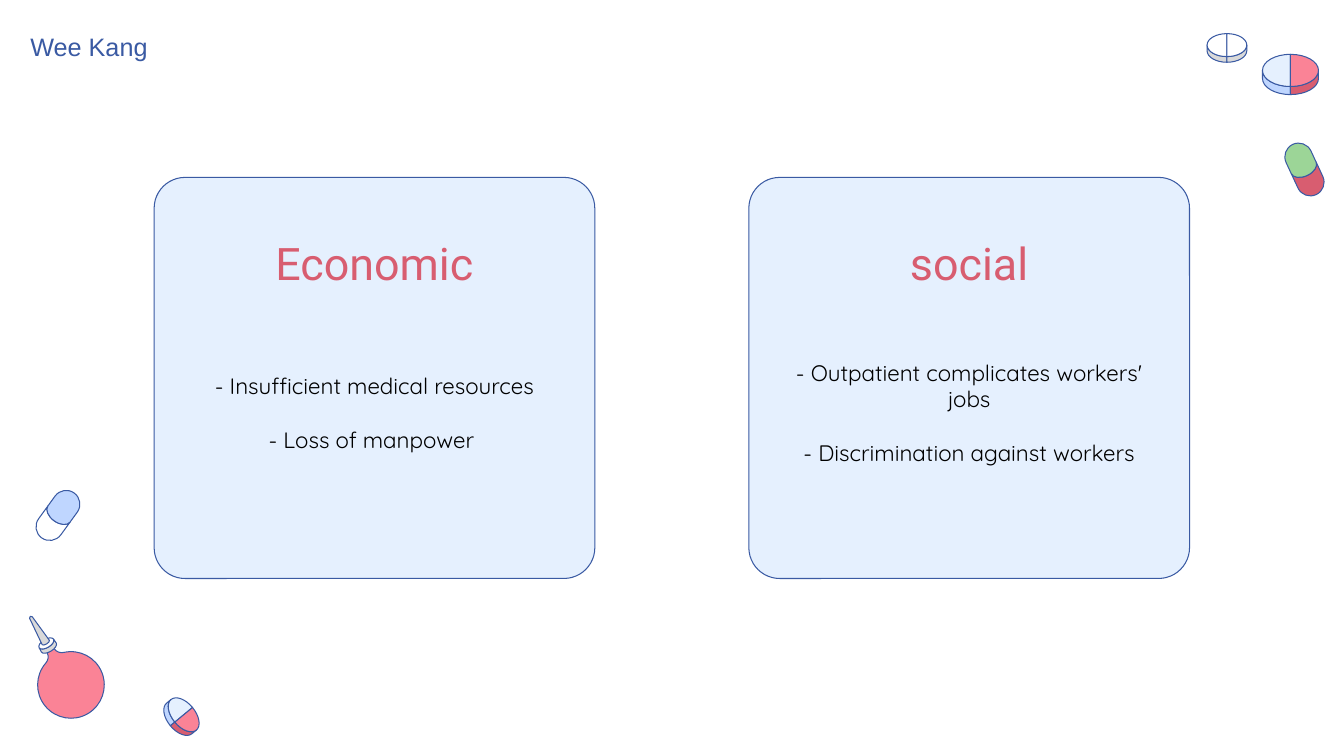
from dataclasses import dataclass
from math import ceil, cos, radians, sin, tan

from lxml.etree import Element, SubElement
from pptx import Presentation
from pptx.dml.color import RGBColor
from pptx.enum.shapes import MSO_SHAPE as SHAPE
from pptx.enum.text import MSO_ANCHOR as ANCHOR, MSO_AUTO_SIZE as AUTO, PP_ALIGN as ALIGN
from pptx.oxml.ns import qn
from pptx.util import Pt


@dataclass(frozen=True)
class Theme:
    """Colours, fonts and type sizes of the slide."""
    navy: str = "3A5AA3"
    pale: str = "E5F0FE"
    sky: str = "BFD6FF"
    pink: str = "FA8396"
    rose: str = "D85D70"
    green: str = "9CD597"
    grey: str = "D9D9D9"
    white: str = "FFFFFF"
    black: str = "000000"
    name_font: str = "Arial"
    head_font: str = "Roboto"
    body_font: str = "Quicksand"
    name_size: float = 18
    head_size: float = 32
    body_size: float = 16
    line: float = 0.75


T = Theme()


def paint(sp, fill):
    """Give a shape its fill and the navy outline."""
    sp.shadow.inherit = False
    sp.fill.solid()
    sp.fill.fore_color.rgb = RGBColor.from_string(fill)
    sp.line.color.rgb = RGBColor.from_string(T.navy)
    sp.line.width = Pt(T.line)


def arc(x, y, rx, ry, start, end):
    """Return a start point and the Bezier curves of an elliptical arc."""
    count = ceil(abs(end - start) / 90)
    step = radians((end - start) / count)
    k = 4 / 3 * tan(step / 4)
    pieces = [(x + rx * cos(radians(start)), y + ry * sin(radians(start)))]
    for i in range(count):
        a = radians(start) + i * step
        b = a + step
        pieces.append(((x + rx * (cos(a) - k * sin(a)), y + ry * (sin(a) + k * cos(a))),
                       (x + rx * (cos(b) + k * sin(b)), y + ry * (sin(b) - k * cos(b))),
                       (x + rx * cos(b), y + ry * sin(b))))
    return pieces


def is_curve(piece):
    """Tell a curve of three points from a single point."""
    return len(piece) == 3


def draw_outline(group, x, y, turn, pieces, fill):
    """Draw one outline of points and curves, turned about the point x, y."""
    points = [p for piece in pieces for p in (piece if is_curve(piece) else [piece])]
    mid_u, mid_v = ((min(axis) + max(axis)) / 2 for axis in zip(*points))
    c, s = cos(radians(turn)), sin(radians(turn))
    dx = x + mid_u * c - mid_v * s - mid_u
    dy = y + mid_u * s + mid_v * c - mid_v
    placed = [(Pt(u + dx), Pt(v + dy)) for u, v in points]
    builder = group.shapes.build_freeform(*placed[0], scale=1.0)
    builder.add_line_segments(placed[1:], close=True)
    sp = builder.convert_to_shape()
    sp.rotation = turn
    paint(sp, fill)
    lines = iter(sp._element.findall(".//" + qn("a:lnTo")))
    for piece in pieces[1:]:
        line = next(lines)
        if is_curve(piece):
            curve = Element(qn("a:cubicBezTo"))
            line.addprevious(curve)
            for old in (line, next(lines), next(lines)):
                curve.append(old[0])
                old.getparent().remove(old)


def draw_parts(slide, x, y, turn, parts):
    """Draw filled outlines as one group."""
    group = slide.shapes.add_group_shape()
    for fill, pieces in parts:
        draw_outline(group, x, y, turn, pieces, fill)


def add_tablet(slide, x, y, rx, ry, depth, turn, faces, sides):
    """Draw a split tablet centred on its top face."""
    parts = []
    for edge, side in zip((180, 0), sides):
        rim = arc(0, 0, rx, ry, edge, 90) + arc(0, depth, rx, ry, 90, edge)
        parts.append((side, rim))
    for start, face in zip((90, -90), faces):
        parts.append((face, arc(0, 0, rx, ry, start, start + 180)))
    draw_parts(slide, x, y, turn, parts)


def add_capsule(slide, x, y, turn, top, bottom):
    """Draw a two-colour capsule centred on x, y."""
    radius, reach, seam, bulge = 9.8, 10, -1.3, 6
    seam_line = arc(0, seam, radius, bulge, 180, 0)
    lower = seam_line + arc(0, reach, radius, radius, 0, 180)
    upper = seam_line + arc(0, -reach, radius, radius, 0, -180)
    draw_parts(slide, x, y, turn, [(bottom, lower), (top, upper)])


def add_bulb_syringe(slide, x, y, turn):
    """Draw a bulb syringe centred on its bulb."""
    bulb = [(2.9, -28.5), ((3, -25.5), (5, -23.5), (7.35, -22.6))]
    bulb += arc(0, 0, 23.8, 23.8, -72, 252)[1:]
    bulb.append(((-5, -23.5), (-3, -25.5), (-2.9, -28.5)))
    collar = arc(0, -34.4, 6, 3, 180, 0) + arc(0, -31, 6.2, 3, 0, 180)
    ring = arc(0, -34.4, 6, 3, 0, 360)
    nozzle = arc(0, -56, 1.1, 0.9, 180, 360) + arc(0, -35.2, 3, 1.2, 0, 180)
    draw_parts(slide, x, y, turn, [(T.pink, bulb), (T.grey, collar),
                                   (T.white, ring), (T.grey, nozzle)])


def set_text(slide, idx, box, lines, font, size, color, align=ALIGN.CENTER,
             anchor=ANCHOR.MIDDLE, inset=(0, 0), gap=0):
    """Move a placeholder to the front, place it in the box and fill it."""
    sp = next(ph for ph in slide.placeholders if ph.placeholder_format.idx == idx)
    slide.shapes._spTree.append(sp._element)
    sp.left, sp.top, sp.width, sp.height = map(Pt, box)
    tf = sp.text_frame
    tf.word_wrap, tf.auto_size, tf.vertical_anchor = True, AUTO.NONE, anchor
    tf.margin_left = tf.margin_right = Pt(inset[0])
    tf.margin_top = tf.margin_bottom = Pt(inset[1])
    tf.text = "\n".join(lines)
    for i, p in enumerate(tf.paragraphs):
        p.alignment, p.space_before = align, Pt(gap if i else 0)
        pPr = p._p.get_or_add_pPr()
        pPr.set("marL", "0")
        pPr.set("indent", "0")
        SubElement(pPr, qn("a:buNone"))
        for r in p.runs:
            r.font.name, r.font.size, r.font.bold = font, Pt(size), False
            r.font.color.rgb = RGBColor.from_string(color)


def add_card(slide, box, idx, heading, points):
    """Draw a rounded card with a heading and its points."""
    x, y, w, h = box
    card = slide.shapes.add_shape(SHAPE.ROUNDED_RECTANGLE, *map(Pt, box))
    card.adjustments[0] = 0.077
    paint(card, T.pale)
    pad, head_top, head_h, body_h = 33, 36.5, 49.3, 164.2
    set_text(slide, idx, (x + pad, y + head_top, w - 2 * pad, head_h),
             [heading], T.head_font, T.head_size, T.rose)
    set_text(slide, idx + 1, (x + pad, y + head_top + head_h, w - 2 * pad, body_h),
             points, T.body_font, T.body_size, T.black, gap=19.2)


def add_medicines(slide):
    """Scatter the medicines in the corners of the slide."""
    two_tone = (T.pale, T.pink), (T.sky, T.rose)
    plain = (T.white, T.white), (T.grey, T.grey)
    add_tablet(slide, 921.8, 50.3, 20, 11.5, 5.8, 0, *two_tone)
    add_tablet(slide, 876.4, 32.2, 14.2, 8.2, 4.1, 0, *plain)
    add_tablet(slide, 131.2, 510.6, 14.2, 8.2, 4.1, 50.4, *two_tone)
    add_capsule(slide, 41.4, 368.2, 36, T.sky, T.white)
    add_capsule(slide, 931.8, 121.1, -24.9, T.green, T.rose)
    add_bulb_syringe(slide, 50.7, 489.2, -30.7)


def main():
    """Build the slide and save it."""
    prs = Presentation()
    prs.slide_width, prs.slide_height = Pt(960), Pt(540)
    slide = prs.slides.add_slide(prs.slide_layouts.get_by_name("Comparison"))
    add_medicines(slide)
    cards = [
        ("Economic", ["- Insufficient medical resources", "- Loss of manpower "]),
        ("social", ["- Outpatient complicates workers' jobs",
                    "- Discrimination against workers"]),
    ]
    for i, (heading, points) in enumerate(cards):
        add_card(slide, (110.1 + 424.8 * i, 126.7, 314.8, 286.5), 1 + 2 * i, heading, points)
    set_text(slide, 0, (14.5, 19, 216, 29), ["Wee Kang"], T.name_font, T.name_size,
             T.navy, ALIGN.LEFT, ANCHOR.TOP, (7.2, 3.6))
    prs.save("out.pptx")


if __name__ == "__main__":
    main()
